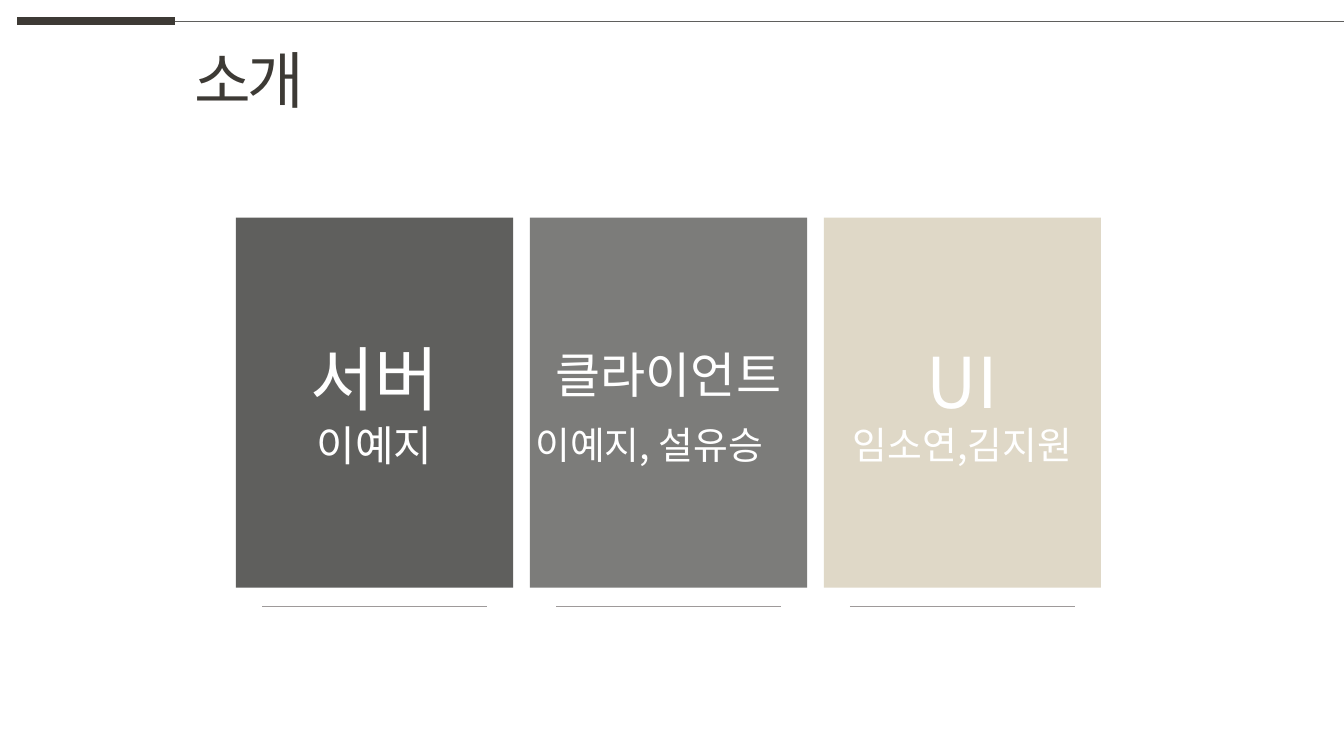
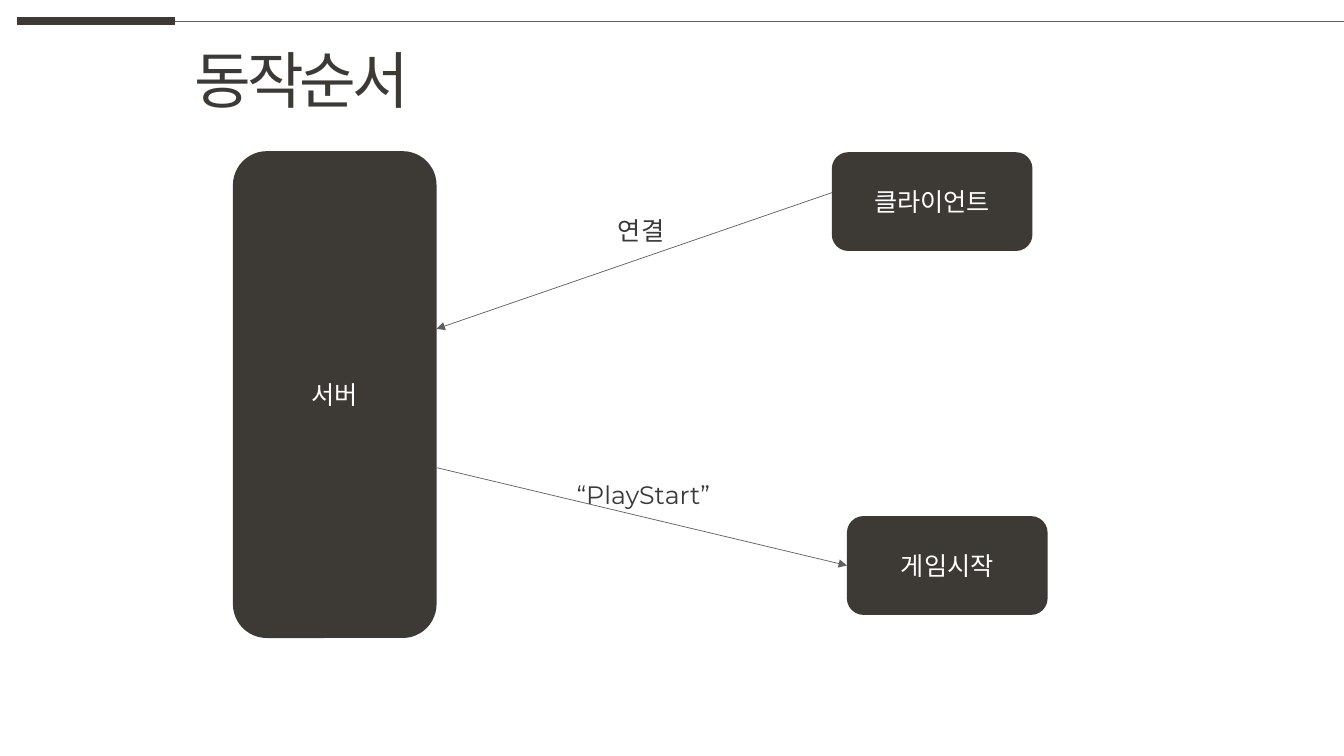
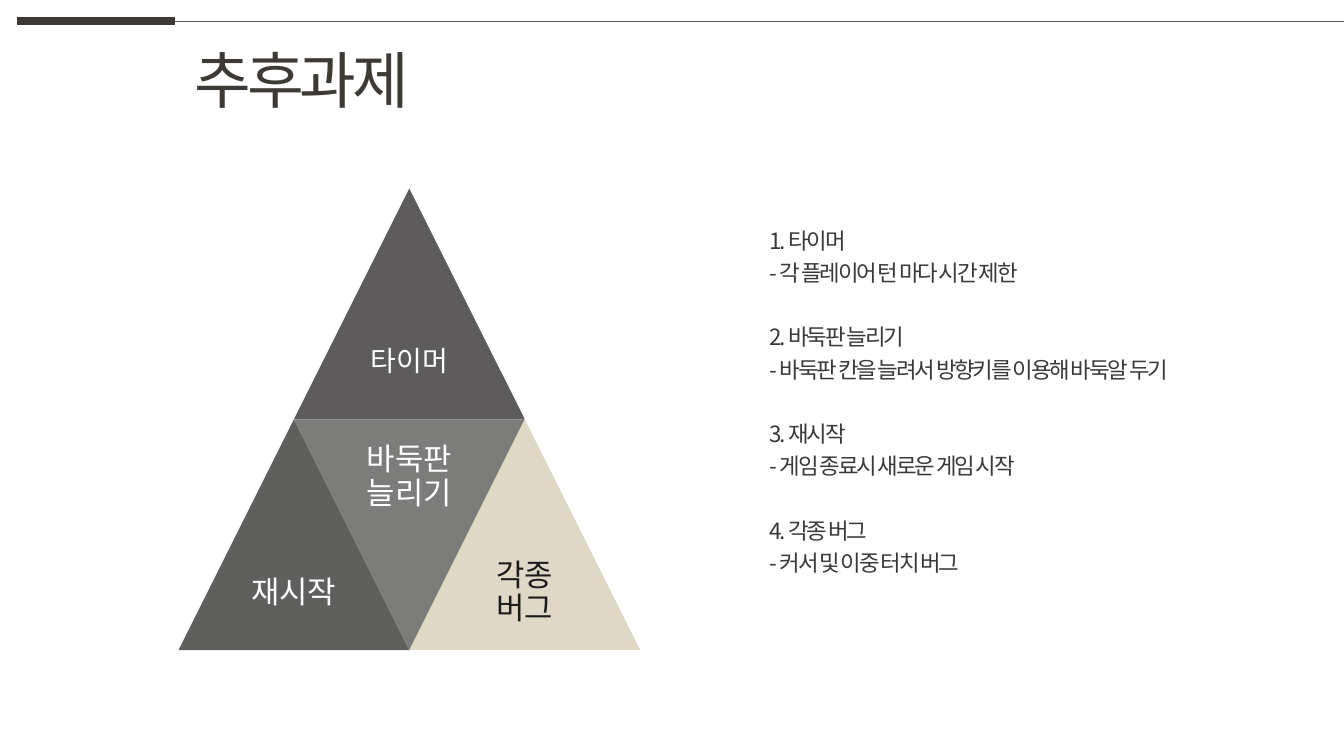
import pptx
import pptx.dml.color
import pptx.enum.shapes
import pptx.enum.text
import pptx.oxml.ns
import pptx.util
from dataclasses import dataclass
from lxml import etree

Inches = pptx.util.Inches
Pt = pptx.util.Pt
Shape = pptx.enum.shapes.MSO_SHAPE
Align = pptx.enum.text.PP_ALIGN
Anchor = pptx.enum.text.MSO_ANCHOR
qn = pptx.oxml.ns.qn


@dataclass(frozen=True)
class Theme:
    width: float = 13.33
    height: float = 7.5
    korean: str = "Noto Sans CJK KR"
    latin: str = "Montserrat"
    ink: str = "3D3A35"
    body: str = "3A3838"
    black: str = "1D1C1C"
    white: str = "FFFFFF"
    plum: str = "5D5B5B"
    dark: str = "5F5F5D"
    mid: str = "7C7C7A"
    sand: str = "DFD8C7"
    rule: str = "9E9A9A"
    title_size: int = 44
    label_size: int = 18
    list_size: int = 16
    hairline: float = 0.5
    bar: float = 6
    leading: float = 1.2


THEME = Theme()

# Team cards: fill, lines of (text, size)
TEAM = [
    (THEME.dark, [("서버", 50), ("이예지", 30)]),
    (THEME.mid, [("클라이언트", 35)]),
    (THEME.sand, [("UI", 50), ("임소연,김지원", 27)]),
]
CLIENT_MEMBERS = ("이예지, 설유승", 27)

# Flow boxes: text, (left, top, width, height)
FLOW = {
    "server": ("서버", (2.31, 1.5, 2.02, 4.83)),
    "client": ("클라이언트", (8.25, 1.51, 1.99, 0.98)),
    "game": ("게임시작", (8.4, 5.12, 1.99, 0.98)),
}
FLOW_LABELS = [
    ("연결", (6.03, 2.08, 0.71, 0.4)),
    ("“PlayStart”", (5.62, 4.7, 1.68, 0.4)),
]

# Triangles: text, size, text colour, fill, column in half sides, row, points down
TRIANGLES = [
    ("타이머", 20, THEME.white, THEME.plum, 1, 0, False),
    ("재시작", 22, THEME.white, THEME.dark, 0, 1, False),
    ("바둑판 늘리기", 22, THEME.white, THEME.mid, 1, 1, True),
    ("각종 버그", 22, THEME.black, THEME.sand, 2, 1, False),
]
TASKS = [
    ("타이머", "각 플레이어 턴 마다 시간 제한"),
    ("바둑판 늘리기", "바둑판 칸을 늘려서 방향키를 이용해 바둑알 두기"),
    ("재시작", "게임 종료시 새로운 게임 시작"),
    ("각종 버그", "커서 및 이중 터치 버그"),
]


def rgb(value):
    return pptx.dml.color.RGBColor.from_string(value)


def write(frame, lines, color, face=THEME.korean, align=Align.LEFT, anchor=Anchor.TOP,
          spacing=0, leading=THEME.leading, margins=None):
    """Fill a text frame with lines of (text, size) or (text, size, points before)."""
    settings = {
        "word_wrap": True,
        "auto_size": pptx.enum.text.MSO_AUTO_SIZE.NONE,
        "vertical_anchor": anchor,
        "margin_left": Inches(0.1),
        "margin_right": Inches(0.1),
        "margin_top": Inches(0.05),
        "margin_bottom": Inches(0.05),
        **(margins or {}),
    }
    for name, value in settings.items():
        setattr(frame, name, value)
    for index, (text, size, *before) in enumerate(lines):
        paragraph = frame.paragraphs[0] if index == 0 else frame.add_paragraph()
        paragraph.alignment = align
        paragraph.line_spacing = Pt(round(size * leading))
        if before:
            paragraph.space_before = Pt(before[0])
        run = paragraph.add_run()
        run.text = text
        run.font.name, run.font.size = face, Pt(size)
        run.font.color.rgb = rgb(color)
        properties = run._r.get_or_add_rPr()
        etree.SubElement(properties, qn("a:ea"), typeface=THEME.korean)
        if spacing:
            properties.set("spc", str(int(spacing * 100)))


def add_line(slide, start, end, color, weight=THEME.hairline, arrow=False):
    line = slide.shapes.add_connector(
        pptx.enum.shapes.MSO_CONNECTOR.STRAIGHT, *map(Inches, (*start, *end)))
    line.line.color.rgb = rgb(color)
    line.line.width = Pt(weight)
    if arrow:
        etree.SubElement(line.line._get_or_add_ln(), qn("a:tailEnd"), type="triangle")
    etree.SubElement(line._element.spPr, qn("a:effectLst"))
    return line


def add_block(slide, preset, box, fill):
    block = slide.shapes.add_shape(preset, *map(Inches, box))
    block.shadow.inherit = False
    block.fill.solid()
    block.fill.fore_color.rgb = rgb(fill)
    block.line.fill.background()
    return block


def add_text(slide, box, lines, color, **options):
    write(slide.shapes.add_textbox(*map(Inches, box)).text_frame, lines, color, **options)


def add_titled_slide(deck, heading, heading_width):
    slide = deck.slides.add_slide(deck.slide_layouts[5])
    title = slide.shapes.title
    box = {"left": 1.83, "top": 0.36, "width": heading_width, "height": 0.84}
    for name, value in box.items():
        setattr(title, name, Inches(value))
    write(title.text_frame, [(heading, THEME.title_size)], THEME.ink, spacing=-3)
    bar_left, bar_right, y = 0.17, 1.74, 0.21
    add_line(slide, (bar_left, y), (bar_right, y), THEME.ink, THEME.bar)
    add_line(slide, (bar_right, y), (THEME.width, y), THEME.dark)
    return slide


def build_team(deck):
    slide = add_titled_slide(deck, "소개", 1.35)
    left, right, top, width, height = 2.34, 10.92, 2.16, 2.75, 3.67
    pitch = (right - left - width) / (len(TEAM) - 1)
    rule_inset, rule_y = 0.26, 6.02
    for index, (fill, lines) in enumerate(TEAM):
        x = left + index * pitch
        add_line(slide, (x + rule_inset, rule_y), (x + width - rule_inset, rule_y), THEME.rule)
        card = add_block(slide, Shape.RECTANGLE, (x, top, width, height), fill)
        # A lone heading sits one line higher, leaving room for the members below
        room = {"margin_bottom": Inches(0.63)} if len(lines) == 1 else None
        write(card.text_frame, lines, THEME.white, align=Align.CENTER,
              anchor=Anchor.MIDDLE, margins=room)
    add_text(slide, (5.21, 4.14, 2.85, 0.56), [CLIENT_MEMBERS], THEME.white)


def build_flow(deck):
    slide = add_titled_slide(deck, "동작순서", 2.5)
    nodes = {}
    for key, (text, box) in FLOW.items():
        nodes[key] = add_block(slide, Shape.ROUNDED_RECTANGLE, box, THEME.ink)
        write(nodes[key].text_frame, [(text, THEME.label_size)], THEME.white,
              face=THEME.latin, align=Align.CENTER, anchor=Anchor.MIDDLE)

    def side_point(key, across, down):
        """Point at a share of a box's width and height."""
        left, top, width, height = FLOW[key][1]
        return left + across * width, top + down * height

    add_line(slide, side_point("client", 0, 0.41), side_point("server", 1, 0.365),
             THEME.dark, arrow=True)
    play_start = add_line(slide, side_point("server", 1, 0.65), side_point("game", 0, 0.5),
                          THEME.dark, arrow=True)
    play_start.end_connect(nodes["game"], 1)
    for text, box in FLOW_LABELS:
        add_text(slide, box, [(text, THEME.label_size)], THEME.body, face=THEME.latin)


def build_tasks(deck):
    slide = add_titled_slide(deck, "추후과제", 2.5)
    left, top, side = 1.77, 1.87, 2.29
    half = side / 2
    inset = dict.fromkeys(
        ("margin_left", "margin_right", "margin_top", "margin_bottom"), Inches(0.09))
    for text, size, color, fill, column, row, points_down in TRIANGLES:
        x, y = left + column * half, top + row * side
        triangle = add_block(slide, Shape.ISOSCELES_TRIANGLE, (x, y, side, side), fill)
        triangle.rotation = 180 if points_down else 0
        text_top = y if points_down else y + half
        add_text(slide, (x + half / 2, text_top, half, half), [(text, size)], color,
                 align=Align.CENTER, anchor=Anchor.MIDDLE,
                 leading=0.9 * THEME.leading, margins=inset)

    size, leading = THEME.list_size, 1.44
    gap = round(size * leading)
    lines = []
    for number, (task, detail) in enumerate(TASKS, 1):
        lines += [(f"{number}. {task}", size, gap if number > 1 else 0), (f"- {detail}", size)]
    add_text(slide, (7.53, 2.15, 5.02, 3.63), lines, THEME.body, spacing=-1.5, leading=leading)


def main():
    deck = pptx.Presentation()
    deck.slide_width, deck.slide_height = Inches(THEME.width), Inches(THEME.height)
    for build in (build_team, build_flow, build_tasks):
        build(deck)
    deck.save("out.pptx")


if __name__ == "__main__":
    main()
